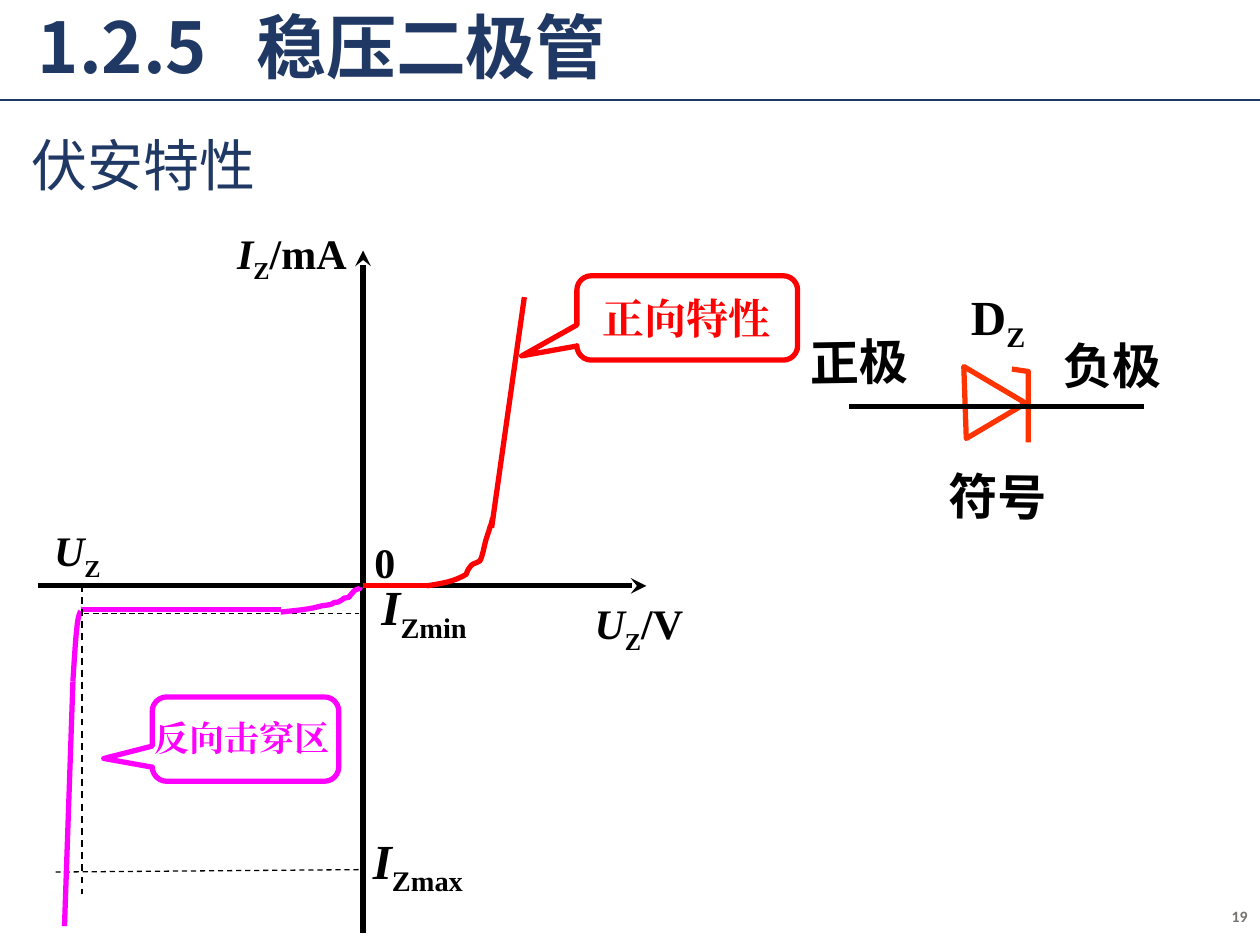
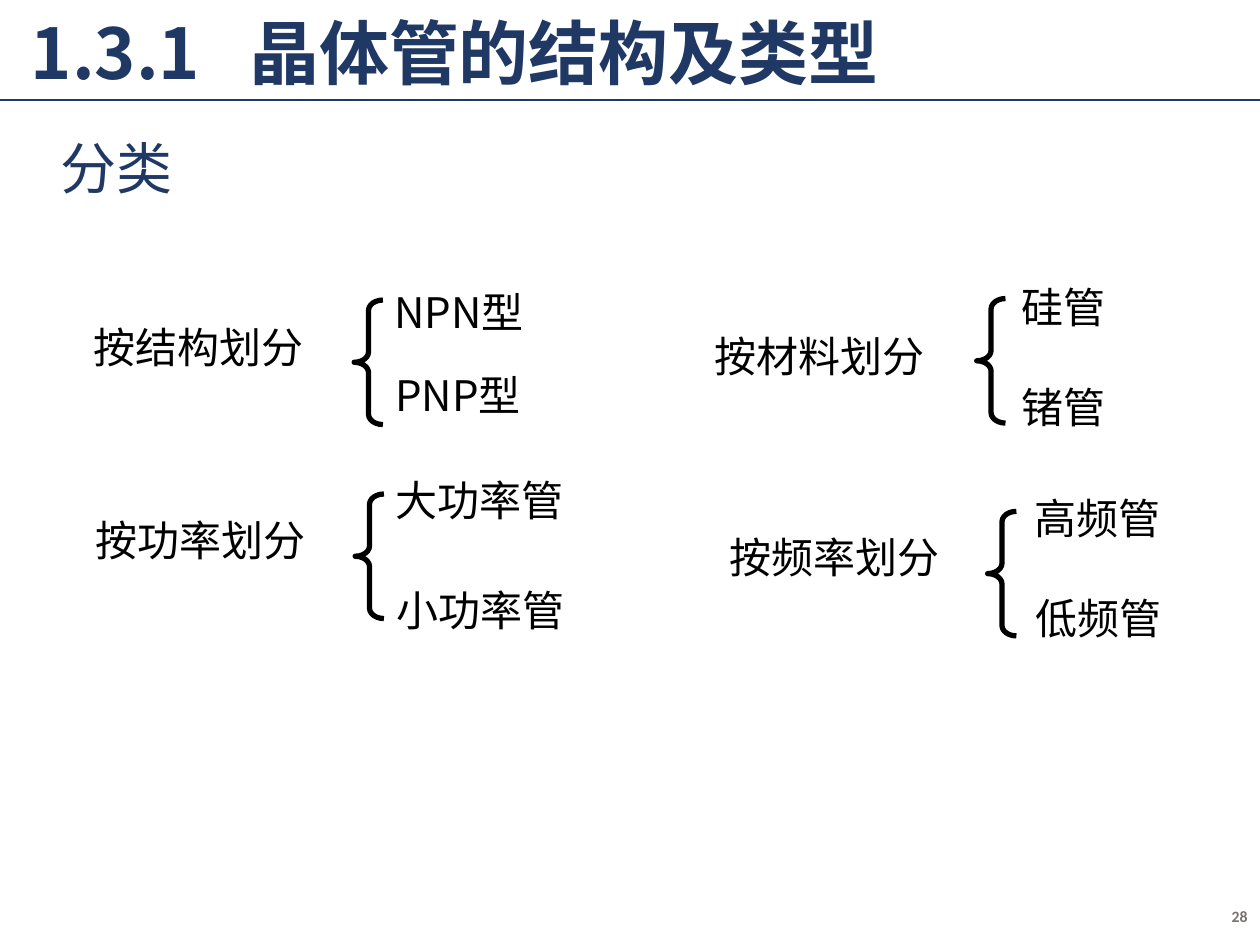
from lxml.etree import SubElement as Sub
from pptx import Presentation
from pptx.dml.color import RGBColor as RGB
from pptx.enum.dml import MSO_LINE as Dash
from pptx.enum.shapes import MSO_CONNECTOR as Link, MSO_SHAPE as Kind
from pptx.enum.text import MSO_ANCHOR as Anchor, MSO_AUTO_SIZE as Fit, PP_ALIGN as Align
from pptx.oxml.ns import qn
from pptx.util import Cm, Pt

NAVY, BLACK, WHITE, GREY = "203864", "000000", "FFFFFF", "767171"
RED, PINK, ORANGE = "FF0000", "FF00FF", "FF3300"
SANS, SERIF, PLAIN = "Noto Sans CJK SC", "Times New Roman", "Calibri"
FORWARD = [(8.61, 11.81), (8.92, 11.76), (9.14, 11.73), (9.4, 11.58),
           (9.42, 11.51), (9.45, 11.46), (9.5, 11.4),
           (9.55, 11.35), (9.63, 11.35), (9.68, 11.3),
           (9.73, 11.2), (9.75, 11.07), (9.78, 10.95),
           (9.8, 10.85), (9.86, 10.72), (9.88, 10.62),
           (9.91, 10.57), (9.93, 10.44), (9.93, 10.44)]
REVERSE = [(5.66, 12.34), (5.82, 12.32), (6.22, 12.29), (6.38, 12.24),
           (6.58, 12.19), (6.48, 12.22), (6.65, 12.19),
           (6.68, 12.19), (6.68, 12.17), (6.71, 12.17),
           (6.73, 12.14), (6.78, 12.14), (6.81, 12.14),
           (7.06, 12.01), (6.81, 12.09), (7.04, 12.04),
           (7.06, 11.99), (7.11, 11.96), (7.14, 11.91),
           (7.26, 11.84), (7.26, 11.89), (7.26, 11.84)]
KNEE = [(1.63, 12.32), (1.6, 12.37), (1.57, 12.45), (1.55, 12.67),
        (1.52, 12.9), (1.5, 13.31), (1.47, 13.74)]


def rgb(code):
    """Turn a hex string into a colour."""
    return RGB.from_string(code)


def cms(nums):
    """Turn numbers into lengths."""
    return [Cm(n) for n in nums]


def write(shape, text, size=24, font=SANS, color=BLACK, bold=False, italic=False,
          align=Align.LEFT, lines=None, before=None):
    """Write text whose every second part, split at bars, is a subscript."""
    para = shape.text_frame.paragraphs[0]
    para.alignment = align
    if lines:
        para.line_spacing = lines
    if before is not None:
        para.space_before = Pt(before)
    for i, part in enumerate(text.split("|")):
        run = para.add_run()
        run.text = part
        look = run.font
        look.size, look.name, look.bold = Pt(size), font, bold
        look.italic = italic and i == 0
        look.color.rgb = rgb(color)
    for i, prop in enumerate(shape.element.iter(qn("a:rPr"))):
        Sub(prop, qn("a:ea")).set("typeface", font)
        if i % 2:
            prop.set("baseline", "-25000")
    return shape


def label(slide, box, text, wrap=True, anchor=Anchor.TOP, turn=0, fit=True, **form):
    """Add a text box."""
    shape = slide.shapes.add_textbox(*cms(box))
    frame = shape.text_frame
    frame.word_wrap, frame.vertical_anchor = wrap, anchor
    frame.auto_size = Fit.SHAPE_TO_FIT_TEXT if fit else Fit.NONE
    shape.rotation = turn
    return write(shape, text, **form)


def tag(slide, box, text, wrap=False, font=SERIF, **form):
    """Add a bold centred label of the diagram."""
    return label(slide, box, text, wrap, Anchor.MIDDLE, font=font, bold=True,
                 align=Align.CENTER, **form)


def stroke(slide, ends, color=BLACK, width=3, dash=False, arrow=False):
    """Add a straight line."""
    line = slide.shapes.add_connector(Link.STRAIGHT, *cms(ends))
    line.line.color.rgb, line.line.width = rgb(color), Pt(width)
    if dash:
        line.line.dash_style = Dash.DASH
    if arrow:
        Sub(line.element.find(".//" + qn("a:ln")), qn("a:tailEnd")).set("type", "stealth")
    Sub(line.element.spPr, qn("a:effectLst"))
    return line


def dress(shape, color, fill=None):
    """Set the outline and fill of a shape."""
    shape.shadow.inherit = False
    shape.line.color.rgb, shape.line.width = rgb(color), Pt(3)
    if fill:
        shape.fill.solid()
        shape.fill.fore_color.rgb = rgb(fill)
    else:
        shape.fill.background()


def preset(slide, kind, box, color, *adjust):
    """Add an outlined preset shape."""
    shape = slide.shapes.add_shape(kind, *cms(box))
    for i, num in enumerate(adjust):
        shape.adjustments[i] = num
    dress(shape, color)


def trace(slide, dots, color, close=False, fill=None):
    """Add a freeform through the points."""
    dots = [tuple(cms(dot)) for dot in dots]
    pen = slide.shapes.build_freeform(*dots[0])
    pen.add_line_segments(dots[1:], close=close)
    dress(pen.convert_to_shape(), color, fill)


def bend(knots, steps=8):
    """Sample a chain of cubic curves."""
    dots = [knots[0]]
    for i in range(0, len(knots) - 1, 3):
        for step in range(1, steps + 1):
            t = step / steps
            mix = ((1 - t) ** 3, 3 * t * (1 - t) ** 2, 3 * t * t * (1 - t), t ** 3)
            dots.append(tuple(sum(m * knot[axis] for m, knot in zip(mix, knots[i:i + 4]))
                              for axis in (0, 1)))
    return dots


def place(shape, box, anchor):
    """Move a placeholder and fix its frame."""
    shape.left, shape.top, shape.width, shape.height = cms(box)
    frame = shape.text_frame
    frame.word_wrap, frame.auto_size, frame.vertical_anchor = True, Fit.NONE, anchor


def head(slide, box, text, lines=1.0):
    """Fill the title, with a tab after its number."""
    shape = slide.shapes.title
    place(shape, box, Anchor.MIDDLE)
    write(shape, text, size=40, color=NAVY, bold=True, lines=lines, before=0)
    prop = next(shape.element.iter(qn("a:p"))).get_or_add_pPr()
    stop = Sub(Sub(prop, qn("a:tabLst")), qn("a:tab"))
    stop.set("pos", str(Cm(4.4)))
    stop.set("algn", "l")


def topic(slide, box, text, lines, before, level=0, left=0):
    """Fill the body with an unbulleted heading."""
    shape = slide.placeholders[1]
    place(shape, box, Anchor.TOP)
    shape.text_frame.paragraphs[0].level = level
    write(shape, text, size=32, color=NAVY, lines=lines, before=before)
    prop = next(shape.element.iter(qn("a:p"))).get_or_add_pPr()
    prop.set("marL", str(Cm(left)))
    prop.set("indent", "0")
    Sub(prop, qn("a:buNone"))


def page(slide, num):
    """Add the page number."""
    label(slide, (19.69, 17.96, 5.71, 1.02), num, anchor=Anchor.MIDDLE, fit=False,
          size=9, font=PLAIN, color=GREY, bold=True, align=Align.RIGHT)


def graph(slide):
    """Draw the diode's curve on its axes."""
    stroke(slide, (0.76, 11.81, 13.03, 11.81), arrow=True)
    stroke(slide, (7.32, 18.8, 7.32, 5.05), arrow=True)
    trace(slide, bend(FORWARD), RED)
    stroke(slide, (9.91, 10.64, 10.57, 5.99), RED)
    stroke(slide, (7.32, 11.81, 8.64, 11.81), RED)
    tag(slide, (4.5, 4.52, 2.77, 1.27), "I|Z|/mA", wrap=True, italic=True)
    tag(slide, (11.71, 11.99, 2.34, 1.27), "U|Z|/V", wrap=True, italic=True)
    tag(slide, (7.29, 10.69, 0.94, 1.27), "0")
    call = Kind.ROUNDED_RECTANGULAR_CALLOUT
    preset(slide, call, (11.63, 5.56, 4.45, 1.7), RED, -0.75, 0.45, 0.17)
    tag(slide, (11.89, 5.77, 3.91, 1.27), "正向特性", color=RED)
    preset(slide, call, (3.07, 14.05, 3.76, 1.7), PINK, -0.76, 0.23, 0.17)
    tag(slide, (2.84, 14.3, 4.09, 1.12), "反向击穿区", size=20, color=PINK)
    tag(slide, (0.81, 10.52, 1.5, 1.27), "U|Z", italic=True)
    stroke(slide, (1.7, 12.37, 7.24, 12.37), width=0.75, dash=True)
    tag(slide, (7.32, 11.58, 2.46, 1.45), "I|Zmin", size=28, italic=True)
    stroke(slide, (1.12, 17.58, 7.32, 17.53), width=0.75, dash=True)
    tag(slide, (7.14, 16.69, 2.57, 1.45), "I|Zmax", size=28, italic=True)
    stroke(slide, (1.63, 12.29, 5.66, 12.29), PINK)
    trace(slide, bend(REVERSE), PINK)
    trace(slide, bend(KNEE), PINK)
    stroke(slide, (1.47, 13.74, 1.3, 18.67), PINK)
    stroke(slide, (1.65, 11.79, 1.65, 18.03), width=1, dash=True)


def symbol(slide):
    """Draw the diode's circuit symbol."""
    trace(slide, [(20.68, 8.13), (19.43, 7.39), (19.48, 8.84)], ORANGE, True, WHITE)
    tag(slide, (19.28, 5.72, 1.68, 1.45), "D|Z", size=28)
    for left, top, turn, text in ((16.08, 6.55, -0.9, "正极"), (21.18, 6.63, -0.2, "负极"),
                                  (18.87, 9.27, 0.9, "符号")):
        tag(slide, (left, top, 2.49, 1.45), text, font=SANS, size=28, turn=turn)
    trace(slide, [(20.4, 7.44), (20.73, 7.49), (20.73, 8.92)], ORANGE)
    stroke(slide, (17.12, 8.2, 23.06, 8.2))


def branch(slide, name, spot, brace, width, *kinds):
    """Add one way of sorting, with a brace and its kinds."""
    label(slide, (*spot, 9.35, 1.27), name)
    preset(slide, Kind.LEFT_BRACE, (*brace, 0.58, 2.51), BLACK, 0.36, 0.5)
    for left, top, text in kinds:
        label(slide, (left, top, width, 1.27), text)


def diode(slide):
    """Build the Zener diode slide."""
    head(slide, (0.51, 0, 19.35, 2.03), "1.2.5\t稳压二极管", lines=0.9)
    topic(slide, (0.38, 2.16, 13.67, 1.8), "伏安特性", 1.25, 10)
    graph(slide)
    symbol(slide)
    page(slide, "19")


def types(slide):
    """Build the transistor types slide."""
    head(slide, (0.37, 0.05, 17.63, 1.96), "1.3.1\t晶体管的结构及类型")
    topic(slide, (0, 2.72, 6.93, 1.5), "分类", 0.9, 3.8, level=1, left=0.97)
    branch(slide, "按结构划分", (1.63, 6.35), (7.14, 6.05), 6.27,
           (7.7, 5.66, "NPN型"), (7.72, 7.32, "PNP型"))
    branch(slide, "按材料划分", (14.15, 6.53), (19.69, 6.02), 3.53,
           (20.35, 5.56, "硅管"), (20.35, 7.57, "锗管"))
    branch(slide, "按功率划分", (1.68, 10.24), (7.16, 9.96), 4.65,
           (7.72, 9.45, "大功率管"), (7.75, 11.66, "小功率管"))
    branch(slide, "按频率划分", (14.45, 10.59), (19.91, 10.31), 4.78,
           (20.6, 9.8, "高频管"), (20.62, 11.81, "低频管"))
    page(slide, "28")


def main():
    """Build and save the deck."""
    deck = Presentation()
    deck.slide_width, deck.slide_height = Cm(25.4), Cm(19.05)
    base = deck.slide_layouts[1]
    for build in (diode, types):
        slide = deck.slides.add_slide(base)
        if build is diode:
            rule = stroke(slide, (0, 2.01, 25.4, 2.01), NAVY, 1)
            base.shapes.element.append(rule.element)
        build(slide)
    deck.save("out.pptx")


main()
